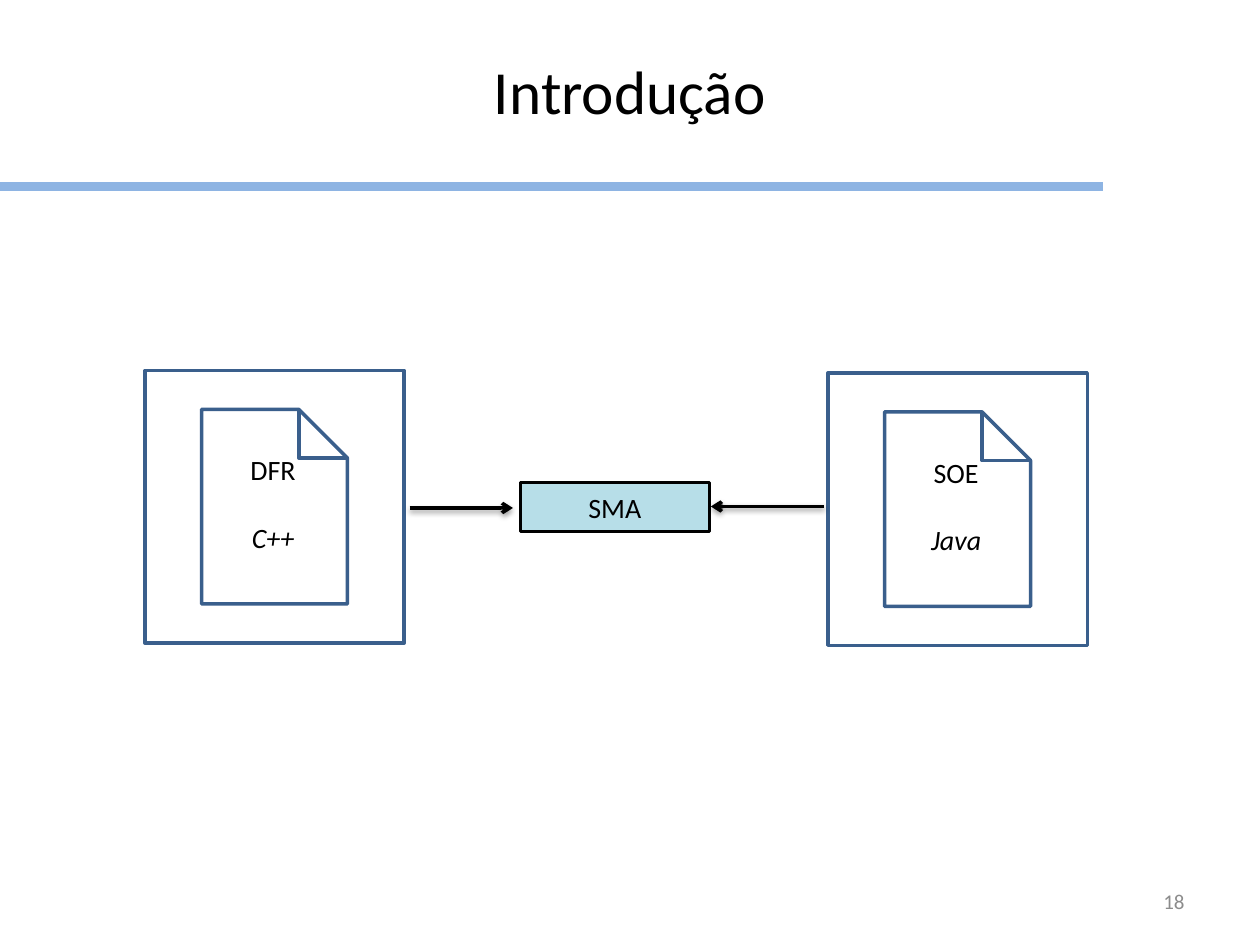
import pptx
import pptx.util
import pptx.dml.color
import pptx.enum.shapes
import pptx.enum.text
import pptx.oxml
import pptx.oxml.ns

Cm, Pt = pptx.util.Cm, pptx.util.Pt
ALIGN = pptx.enum.text.PP_ALIGN
ANCHOR = pptx.enum.text.MSO_ANCHOR
SHAPE = pptx.enum.shapes.MSO_SHAPE

COLORS = {
    "rule": "8EB4E3",
    "outline": "3A5F8C",
    "agent": "B7DEE8",
    "ink": "000000",
    "number": "8C8C8C",
}
FONT = "Calibri"
BODY_SIZE = 16
TITLE = "Introdução"
PAGE_NUMBER = "18"
AGENT = "SMA"

# Name, language, left and top in cm
PROGRAMS = [
    ("DFR", "C++", 2.92, 7.47),
    ("SOE", "Java", 16.69, 7.52),
]
PROGRAM_SIZE = (5.23, 5.49)
CAPTION_OFFSET = (1.24, 2.08)
CAPTION_SIZE = (2.69, 1.19)

# Start x, end x and y in cm
ARROWS = [(8.26, 10.34, 10.24), (16.61, 14.33, 10.21)]


def color(name):
    return pptx.dml.color.RGBColor.from_string(COLORS[name])


def write(shape, lines, size=BODY_SIZE, ink="ink", align=ALIGN.CENTER,
          anchor=ANCHOR.MIDDLE):
    """Put one paragraph per line into the shape and return the paragraphs."""
    frame = shape.text_frame
    frame.word_wrap = True
    frame.vertical_anchor = anchor
    frame.text = "\n".join(lines)
    for para in frame.paragraphs:
        para.alignment = align
        para.font.name = FONT
        para.font.size = Pt(size)
        para.font.color.rgb = color(ink)
    return frame.paragraphs


def add_text(page, box, lines, **style):
    return write(page.shapes.add_textbox(*map(Cm, box)), lines, **style)


def add_outlined(page, kind, box, line, fill=None):
    shape = page.shapes.add_shape(kind, *map(Cm, box))
    shape.shadow.inherit = False
    if fill:
        shape.fill.solid()
        shape.fill.fore_color.rgb = color(fill)
    else:
        shape.fill.background()
    shape.line.color.rgb = color(line)
    shape.line.width = Pt(2)
    return shape


def add_level_line(page, start, end, y, ink, width, effects=""):
    """Draw a horizontal line whose only effects are the given XML."""
    line = page.shapes.add_connector(
        pptx.enum.shapes.MSO_CONNECTOR.STRAIGHT, Cm(start), Cm(y), Cm(end), Cm(y))
    line.line.color.rgb = color(ink)
    line.line.width = Pt(width)
    namespace = pptx.oxml.ns.nsdecls("a")
    line.element.spPr.append(pptx.oxml.parse_xml(
        f"<a:effectLst {namespace}>{effects}</a:effectLst>"))
    return line


def add_arrow(page, start, end, y):
    shadow = (
        '<a:outerShdw blurRad="40000" dist="20000" dir="5400000" rotWithShape="0">'
        f'<a:srgbClr val="{COLORS["ink"]}"><a:alpha val="38000"/></a:srgbClr>'
        "</a:outerShdw>")
    arrow = add_level_line(page, start, end, y, "ink", 2, shadow)
    namespace = pptx.oxml.ns.nsdecls("a")
    arrow.line._get_or_add_ln().append(
        pptx.oxml.parse_xml(f'<a:tailEnd {namespace} type="arrow"/>'))


def add_program(page, name, language, left, top):
    add_outlined(page, SHAPE.ACTION_BUTTON_DOCUMENT,
                 (left, top, *PROGRAM_SIZE), "outline")
    corner = (left + CAPTION_OFFSET[0], top + CAPTION_OFFSET[1])
    paras = add_text(page, (*corner, *CAPTION_SIZE), [name, language])
    paras[1].font.italic = True
    paras[1].space_before = Pt(19.5)


def main():
    deck = pptx.Presentation()
    deck.slide_width, deck.slide_height = Cm(25.4), Cm(19.05)
    page = deck.slides.add_slide(deck.slide_layouts[6])

    add_level_line(page, 0, 22.23, 3.76, "rule", 5)
    add_text(page, (18.21, 17.65, 5.92, 1.02), [PAGE_NUMBER],
             size=12, ink="number", align=ALIGN.RIGHT)
    add_text(page, (0, 0.94, 25.4, 1.75), [TITLE], size=35, anchor=ANCHOR.TOP)

    for program in PROGRAMS:
        add_program(page, *program)
    agent = add_outlined(page, SHAPE.RECTANGLE, (10.49, 9.73, 3.81, 0.99),
                         "ink", fill="agent")
    write(agent, [AGENT])
    for arrow in ARROWS:
        add_arrow(page, *arrow)

    deck.save("out.pptx")


if __name__ == "__main__":
    main()
